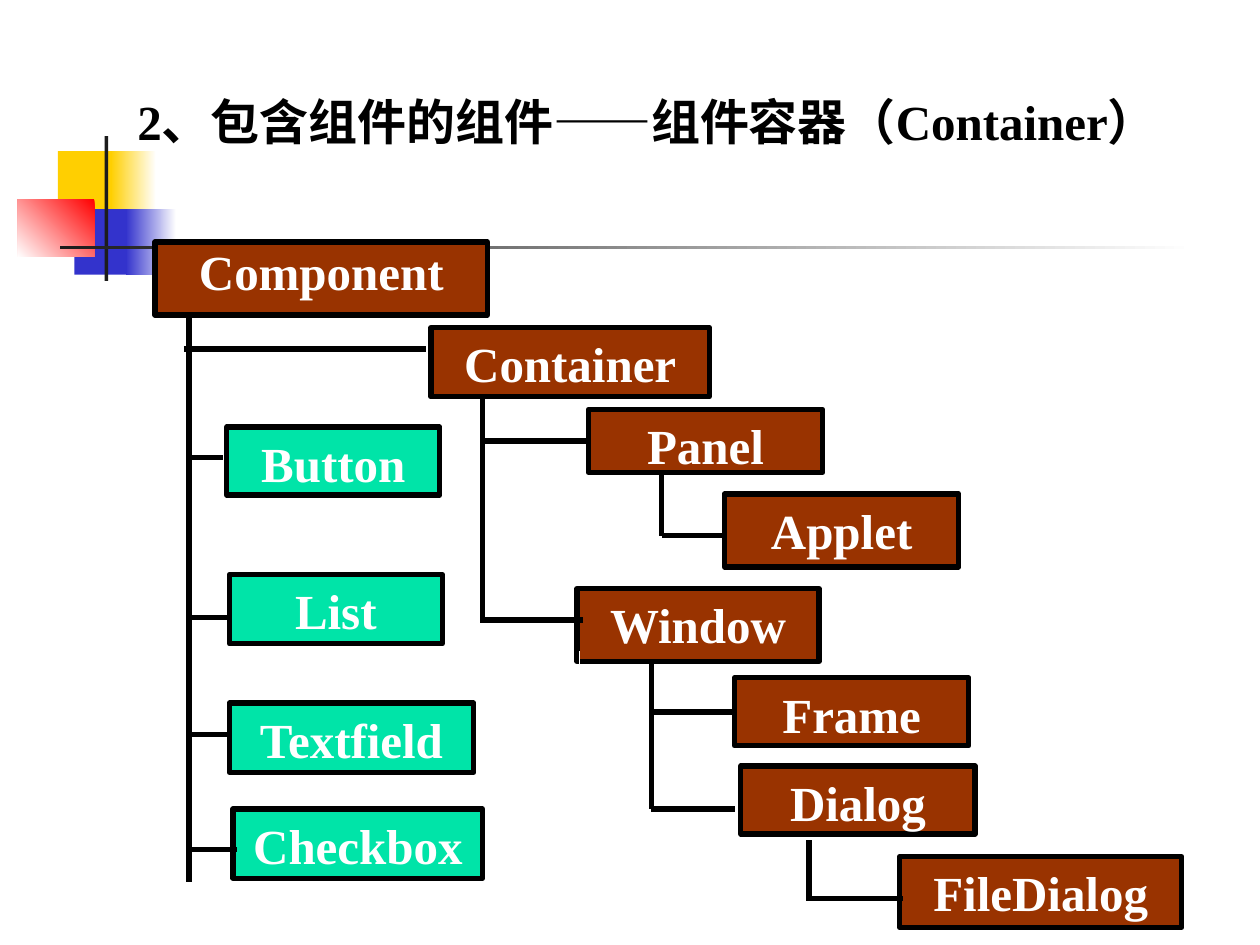
from lxml import etree
from pptx import Presentation
from pptx import util as u
from pptx.dml.color import RGBColor
from pptx.enum import shapes, text
from pptx.oxml.ns import qn

BLACK = RGBColor(0x00, 0x00, 0x00)
WHITE = RGBColor(0xFF, 0xFF, 0xFF)
BROWN = RGBColor(0x99, 0x33, 0x00)
GREEN = RGBColor(0x00, 0xE4, 0xA8)
YELLOW = RGBColor(0xFF, 0xCF, 0x01)
BLUE = RGBColor(0x33, 0x33, 0xCC)
RED = RGBColor(0xFF, 0x00, 0x00)
DARK = RGBColor(0x1C, 0x1C, 0x1C)

FONT = {"name": "Times New Roman", "size": u.Pt(28), "bold": True}
TITLE_FRAME = {
    "word_wrap": False,
    "auto_size": text.MSO_AUTO_SIZE.SHAPE_TO_FIT_TEXT,
    "vertical_anchor": text.MSO_ANCHOR.TOP,
}
BOX_FRAME = {"word_wrap": True, "vertical_anchor": text.MSO_ANCHOR.TOP}

# Corner ornament: left, top, width, height, first colour, last colour, angle
ORNAMENT = [
    (0.46, 1.2, 0.48, 0.52, YELLOW, None, 0),
    (0.88, 1.2, 0.36, 0.52, WHITE, YELLOW, 180),
    (0.59, 1.66, 0.46, 0.52, BLUE, None, 0),
    (1, 1.66, 0.4, 0.52, WHITE, BLUE, 180),
    (0.14, 1.58, 0.61, 0.46, RED, WHITE, 225),
    (0.83, 1.08, 0.03, 1.15, DARK, None, 0),
    (0.48, 1.95, 9, 0.03, WHITE, DARK, 180),
]

# Class boxes: name, left, top, width, height
CONTAINERS = [
    ("Component", 1.23, 1.92, 2.64, 0.58),
    ("Container", 3.42, 2.6, 2.21, 0.55),
    ("Panel", 4.67, 3.25, 1.86, 0.5),
    ("Applet", 5.75, 3.92, 1.86, 0.58),
    ("Window", 4.58, 4.67, 1.92, 0.58),
    ("Frame", 5.83, 5.38, 1.86, 0.54),
    ("Dialog", 5.88, 6.08, 1.86, 0.54),
    ("FileDialog", 7.14, 6.8, 2.24, 0.56),
]
CONTROLS = [
    ("Button", 1.8, 3.39, 1.69, 0.54),
    ("List", 1.82, 4.56, 1.69, 0.55),
    ("Textfield", 1.82, 5.58, 1.94, 0.55),
    ("Checkbox", 1.85, 6.42, 1.98, 0.55),
]

# Vertical trunks: x, top, bottom
TRUNKS = [
    (1.5, 2.52, 7),
    (3.83, 3.17, 4.92),
    (5.25, 3.75, 4.25),
    (5.17, 5.25, 6.42),
    (6.42, 6.67, 7.15),
]
# Horizontal branches: left, right, y, class whose left side is joined
BRANCHES = [
    (1.46, 3.38, 2.77, None),
    (1.48, 1.77, 3.63, None),
    (1.5, 1.82, 4.9, None),
    (1.5, 1.82, 5.83, None),
    (1.5, 1.88, 6.74, None),
    (3.83, 4.67, 3.5, "Panel"),
    (3.81, 4.63, 4.92, None),
    (5.25, 5.75, 4.25, None),
    (5.17, 5.83, 5.65, "Frame"),
    (5.17, 5.83, 6.42, None),
    (6.42, 7.17, 7.13, None),
]


def apply(target, values):
    for name, value in values.items():
        setattr(target, name, value)


def add_rectangle(page, left, top, width, height):
    box = page.shapes.add_shape(
        shapes.MSO_SHAPE.RECTANGLE,
        *(u.Inches(n) for n in (left, top, width, height)))
    box.shadow.inherit = False
    return box


def add_ornament(page, left, top, width, height, first, last, angle):
    box = add_rectangle(page, left, top, width, height)
    box.line.fill.background()
    if last is None:
        box.fill.solid()
        box.fill.fore_color.rgb = first
        return
    box.fill.gradient()
    box.fill.gradient_angle = angle
    for stop, color, position in zip(box.fill.gradient_stops, (first, last), (0, 1)):
        stop.color.rgb = color
        stop.position = position


def add_class_box(page, fill, name, *place):
    box = add_rectangle(page, *place)
    box.fill.solid()
    box.fill.fore_color.rgb = fill
    box.line.color.rgb = BLACK
    box.line.width = u.Pt(3)
    apply(box.text_frame, BOX_FRAME)
    para = box.text_frame.paragraphs[0]
    para.text = name
    para.alignment = text.PP_ALIGN.CENTER
    apply(para.font, FONT)
    para.font.color.rgb = WHITE
    return box


def add_line(page, x1, y1, x2, y2, color=BLACK, width=3.0):
    line = page.shapes.add_connector(
        shapes.MSO_CONNECTOR.STRAIGHT, *(u.Inches(n) for n in (x1, y1, x2, y2)))
    line.line.color.rgb = color
    line.line.width = u.Pt(width)
    etree.SubElement(line._element.spPr, qn("a:effectLst"))
    return line


def set_title(page, words):
    title = page.shapes.title
    apply(title, {"left": u.Inches(0.99), "top": u.Inches(0.58),
                  "width": u.Inches(8.57), "height": u.Inches(0.66)})
    apply(title.text_frame, TITLE_FRAME)
    para = title.text_frame.paragraphs[0]
    para.text = words
    apply(para, {"alignment": text.PP_ALIGN.LEFT, "line_spacing": 1.2,
                 "space_before": u.Pt(0)})
    apply(para.font, FONT)
    para.font.color.rgb = BLACK


def main():
    deck = Presentation()
    deck.slide_width, deck.slide_height = u.Inches(10), u.Inches(7.5)
    page = deck.slides.add_slide(deck.slide_layouts[5])
    set_title(page, "2、包含组件的组件——组件容器（Container）")

    # Corner ornament
    for part in ORNAMENT:
        add_ornament(page, *part)

    # Class boxes
    boxes = {}
    for fill, rows in ((BROWN, CONTAINERS), (GREEN, CONTROLS)):
        for row in rows:
            boxes[row[0]] = add_class_box(page, fill, *row)
    boxes["Component"].text_frame.paragraphs[0].line_spacing = 0.9

    # Tree lines
    for x, top, bottom in TRUNKS:
        add_line(page, x, top, x, bottom)
    for left, right, y, target in BRANCHES:
        branch = add_line(page, left, y, right, y)
        if target:
            branch.end_connect(boxes[target], 1)
    add_line(page, 4.6, 5.17, 4.6, 6.58, WHITE, 0.75)

    deck.save("out.pptx")


if __name__ == "__main__":
    main()
